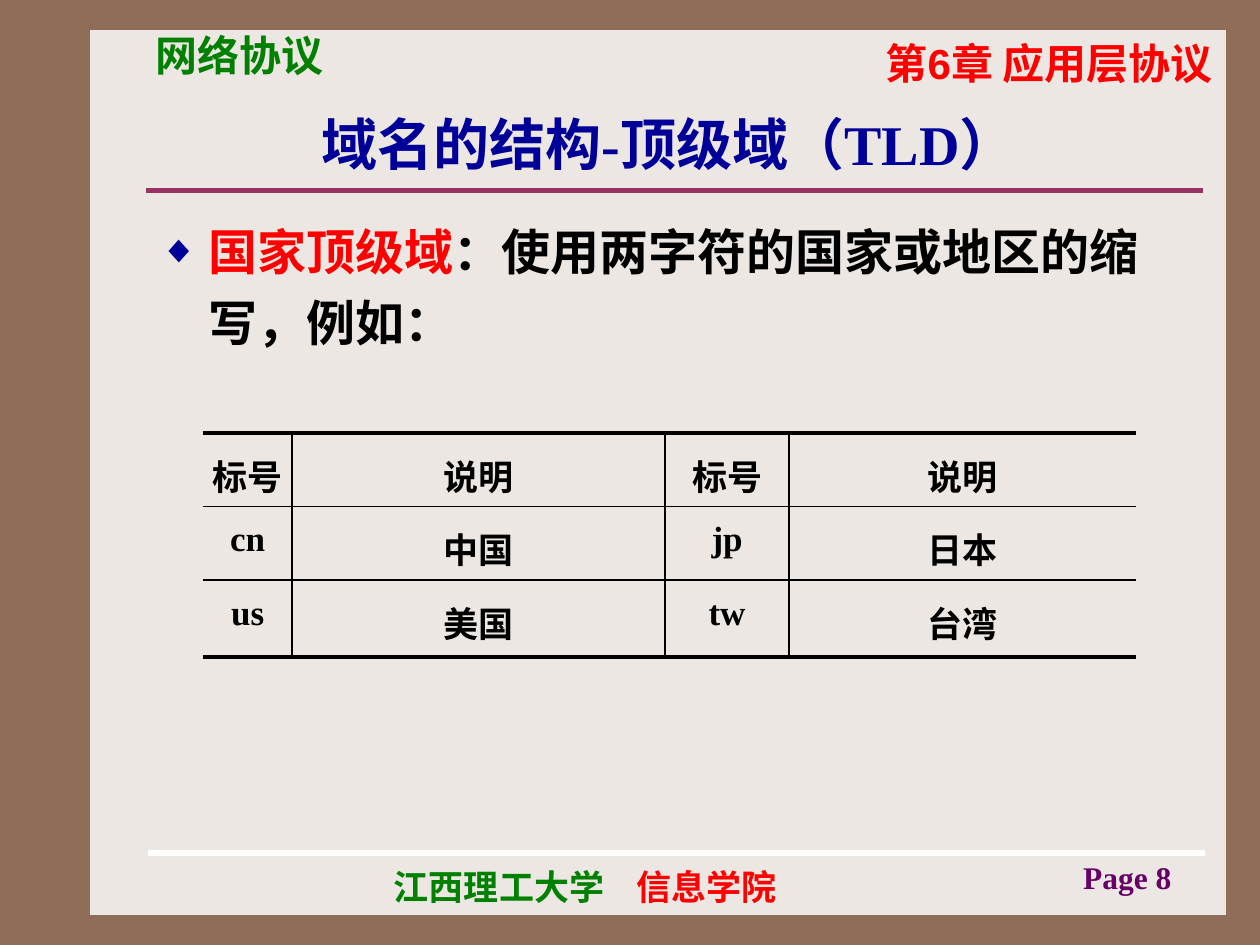
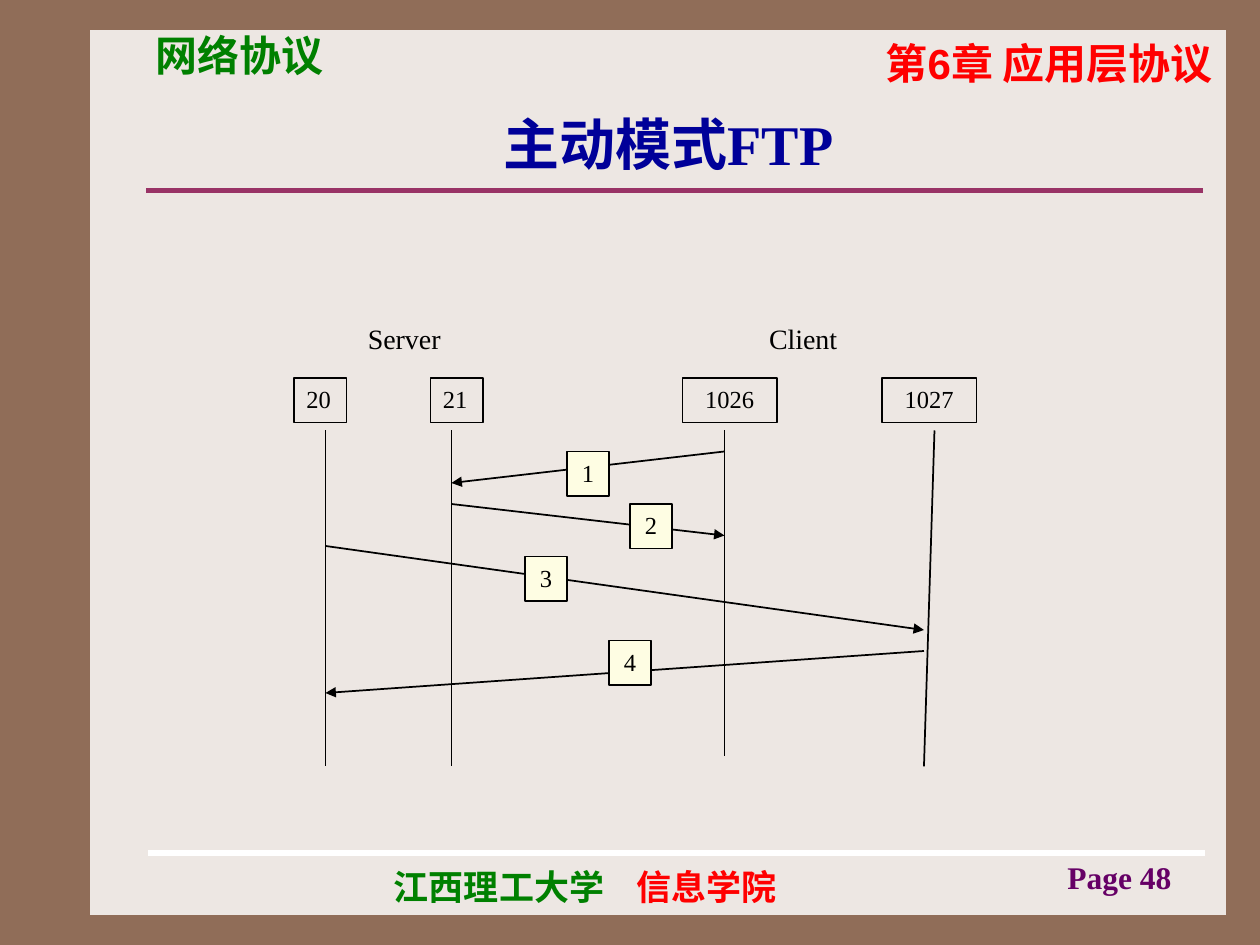
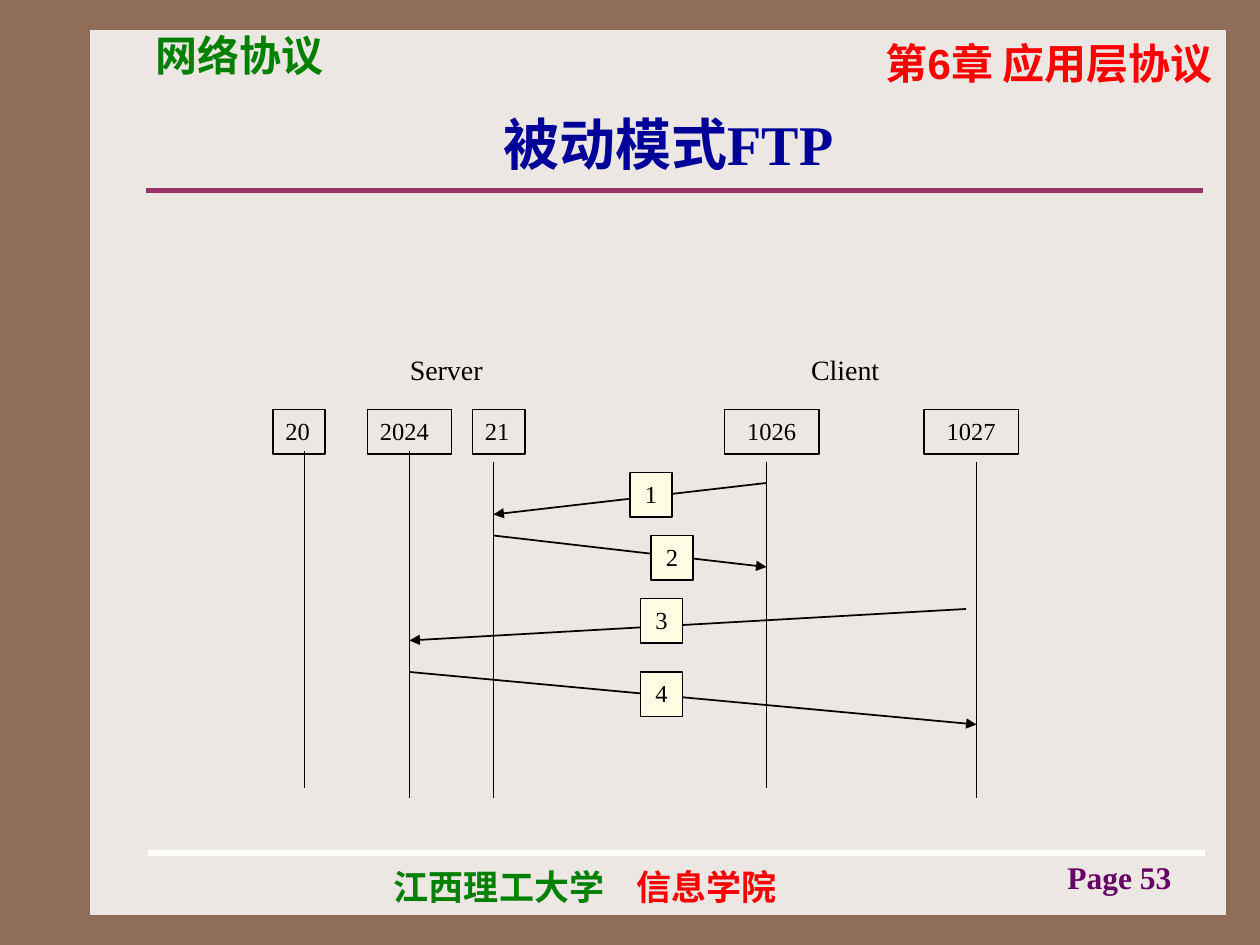
from dataclasses import dataclass
from lxml.etree import SubElement as Sub
from pptx import Presentation
from pptx.dml.color import RGBColor as Rgb
from pptx.enum.shapes import MSO_CONNECTOR as Conn, MSO_SHAPE as Form
from pptx.enum.text import MSO_ANCHOR as Anchor, PP_ALIGN as Align
from pptx.oxml.ns import qn
from pptx.util import Pt


@dataclass(frozen=True)
class Theme:
    frame: str = "906D58"
    page: str = "EDE7E3"
    rule: str = "993366"
    white: str = "FFFFFF"
    black: str = "000000"
    red: str = "FF0000"
    green: str = "008000"
    blue: str = "000099"
    plum: str = "660066"
    cream: str = "FEFDE3"
    serif: str = "Times New Roman"
    sans: str = "Arial"
    han: str = "Noto Sans CJK SC"
    title: int = 32
    body: int = 28
    head: int = 24
    foot: int = 20
    cell: int = 20
    num: int = 18
    label: int = 16
    port: int = 14
    thin: float = 1
    edge: float = 2.25
    bar: float = 3


T = Theme()

# Content: lengths in points
COURSE = "网络协议"
CHAPTER = "第6章 应用层协议"
SCHOOL = ("江西理工大学", "信息学院")

DOMAIN = {
    "title": "域名的结构-顶级域（TLD）",
    "page": 8,
    "point": [("国家顶级域", T.red),
              ("：使用两字符的国家或地区的缩写，例如：", T.black)],
    "rows": [("标号", "说明", "标号", "说明"),
             ("cn", "中国", "jp", "日本"),
             ("us", "美国", "tw", "台湾")],
}
COLS = (51, 213, 71, 198)
ROWS = (42, 42, 44)

# ports: text, left, width; lives and calls: x1, y1, x2, y2; steps: left, top
ACTIVE = {
    "title": "主动模式FTP",
    "page": 48,
    "top": 180,
    "sides": [("Server", 180), ("Client", 408)],
    "ports": [("20", 168, 30), ("21", 246, 30),
              ("1026", 390, 54), ("1027", 504, 54)],
    "lives": [(186, 246, 186, 438), (258, 246, 258, 438),
              (414, 246, 414, 432), (534, 246, 528, 438)],
    "calls": [(414, 258, 258, 276), (258, 288, 414, 306),
              (186, 312, 528, 360), (528, 372, 186, 396)],
    "steps": [(324, 258), (360, 288), (300, 318), (348, 366)],
}
PASSIVE = {
    "title": "被动模式FTP",
    "page": 53,
    "top": 198,
    "sides": [("Server", 204), ("Client", 432)],
    "ports": [("20", 156, 30), ("2024", 210, 48), ("21", 270, 30),
              ("1026", 414, 54), ("1027", 528, 54)],
    "lives": [(174, 258, 174, 450), (234, 258, 234, 456),
              (282, 264, 282, 456), (438, 264, 438, 450),
              (558, 264, 558, 456)],
    "calls": [(438, 276, 282, 294), (282, 306, 438, 324),
              (552, 348, 234, 366), (234, 384, 558, 414)],
    "steps": [(360, 270), (372, 306), (366, 342), (366, 384)],
}
BOX = 25.5    # height of port and step boxes
STEP = 24     # width of a step box
DROP = 36     # from side label down to its ports


# Text and shape helpers
def add_run(para, text, size, color, font=T.serif, bold=False):
    run = para.add_run()
    run.text = text
    run.font.size, run.font.name, run.font.bold = Pt(size), font, bold
    run.font.color.rgb = Rgb.from_string(color)
    Sub(run.font._element, qn("a:ea"), typeface=T.han)


def add_text(slide, at, align=Align.LEFT, anchor=Anchor.TOP):
    frame = slide.shapes.add_textbox(*map(Pt, at)).text_frame
    frame.word_wrap, frame.vertical_anchor = True, anchor
    para = frame.paragraphs[0]
    para.alignment = align
    return para


def add_box(slide, at, fill=None, line=None):
    box = slide.shapes.add_shape(Form.RECTANGLE, *map(Pt, at))
    box.shadow.inherit = False
    if fill:
        box.fill.solid()
        box.fill.fore_color.rgb = Rgb.from_string(fill)
    else:
        box.fill.background()
    if line:
        box.line.color.rgb = Rgb.from_string(line)
        box.line.width = Pt(T.thin)
    else:
        box.line.fill.background()
    return box


def add_node(slide, text, at, align, fill=None):
    frame = add_box(slide, at, fill, T.black).text_frame
    frame.word_wrap, frame.vertical_anchor = True, Anchor.TOP
    para = frame.paragraphs[0]
    para.alignment = align
    add_run(para, text, T.port, T.black)


def add_line(slide, ends, color=T.black, width=T.thin, arrow=False):
    line = slide.shapes.add_connector(Conn.STRAIGHT, *map(Pt, ends))
    line.line.color.rgb = Rgb.from_string(color)
    line.line.width = Pt(width)
    if arrow:
        Sub(line.line._get_or_add_ln(), qn("a:tailEnd"), type="triangle")
    Sub(line._element.spPr, qn("a:effectLst"))


def set_edge(cell, side, width):
    props = cell._tc.get_or_add_tcPr()
    if width:
        edge = Sub(props, qn("a:ln" + side), w=str(Pt(width)))
        fill = Sub(edge, qn("a:solidFill"))
        Sub(fill, qn("a:srgbClr"), val=T.black)
    else:
        Sub(Sub(props, qn("a:ln" + side)), qn("a:noFill"))


# Shared frame of every slide
def add_page(deck, data):
    slide = deck.slides.add_slide(deck.slide_layouts[6])
    slide.background.fill.solid()
    slide.background.fill.fore_color.rgb = Rgb.from_string(T.frame)
    add_box(slide, (51.5, 17.25, 649, 505.5), T.page)
    add_line(slide, (83.5, 108.75, 687.5, 108.75), T.rule, T.bar)
    add_line(slide, (84.5, 487.5, 688.5, 487.5), T.white, T.bar)

    para = add_text(slide, (451, 18, 249, 36), Align.RIGHT)
    add_run(para, CHAPTER, T.head, T.red, T.sans, True)
    para = add_text(slide, (82, 13.5, 187, 36))
    add_run(para, COURSE, T.head, T.green, T.sans, True)

    para = add_text(slide, (218, 491, 318, 31))
    tabs = Sub(para._p.get_or_add_pPr(), qn("a:tabLst"))
    Sub(tabs, qn("a:tab"), pos=str(Pt(138.5)), algn="l")
    add_run(para, SCHOOL[0] + "\t", T.foot, T.green, T.han, True)
    add_run(para, SCHOOL[1], T.foot, T.red, T.han, True)

    para = add_text(slide, (574.5, 486.5, 102, 25), Align.RIGHT)
    add_run(para, f"Page {data['page']}", T.num, T.plum, bold=True)
    para = add_text(slide, (82, 54.5, 600, 55), Align.CENTER, Anchor.MIDDLE)
    add_run(para, data["title"], T.title, T.blue, bold=True)
    return slide


# Bullet point and table of domains
def draw_names(deck, data):
    slide = add_page(deck, data)
    para = add_text(slide, (84, 116.5, 600, 386))
    props = para._p.get_or_add_pPr()
    props.set("marL", str(Pt(28)))
    props.set("indent", str(Pt(-28)))
    Sub(Sub(props, qn("a:buClr")), qn("a:srgbClr"), val=T.blue)
    Sub(props, qn("a:buSzPct"), val="80000")
    Sub(props, qn("a:buFont"), typeface=T.serif)
    Sub(props, qn("a:buChar"), char="◆")
    para.line_spacing = 1.2
    for text, color in data["point"]:
        add_run(para, text, T.body, color, bold=True)

    rows = data["rows"]
    at = (116, 247.5, sum(COLS), sum(ROWS))
    grid = slide.shapes.add_table(len(ROWS), len(COLS), *map(Pt, at)).table
    grid.first_row = grid.horz_banding = False
    for col, width in zip(grid.columns, COLS):
        col.width = Pt(width)
    for row, height in zip(grid.rows, ROWS):
        row.height = Pt(height)
    for r, row in enumerate(rows):
        for c, text in enumerate(row):
            cell = grid.cell(r, c)
            cell.margin_left = cell.margin_right = 0
            cell.margin_top = cell.margin_bottom = Pt(3.6)
            set_edge(cell, "L", T.thin if c else 0)
            set_edge(cell, "R", T.thin if c < len(COLS) - 1 else 0)
            set_edge(cell, "T", T.thin if r else T.edge)
            set_edge(cell, "B", T.thin if r < len(ROWS) - 1 else T.edge)
            cell.fill.background()
            para = cell.text_frame.paragraphs[0]
            para.alignment, para.line_spacing = Align.CENTER, 1.2
            add_run(para, text, T.cell, T.black, bold=True)


# Sequence of calls between ports
def draw_calls(deck, data):
    slide = add_page(deck, data)
    for text, left in data["sides"]:
        para = add_text(slide, (left, data["top"], 102, 26.5), Align.CENTER)
        add_run(para, text, T.label, T.black)
    for text, left, width in data["ports"]:
        align = Align.CENTER if width > 50 else Align.LEFT
        add_node(slide, text, (left, data["top"] + DROP, width, BOX), align)
    for ends in data["lives"]:
        add_line(slide, ends)
    for ends in data["calls"]:
        add_line(slide, ends, arrow=True)
    for i, (left, top) in enumerate(data["steps"], 1):
        add_node(slide, str(i), (left, top, STEP, BOX), Align.CENTER, T.cream)


def main():
    deck = Presentation()
    deck.slide_width, deck.slide_height = Pt(720), Pt(540)
    draw_names(deck, DOMAIN)
    for data in (ACTIVE, PASSIVE):
        draw_calls(deck, data)
    deck.save("out.pptx")


if __name__ == "__main__":
    main()
